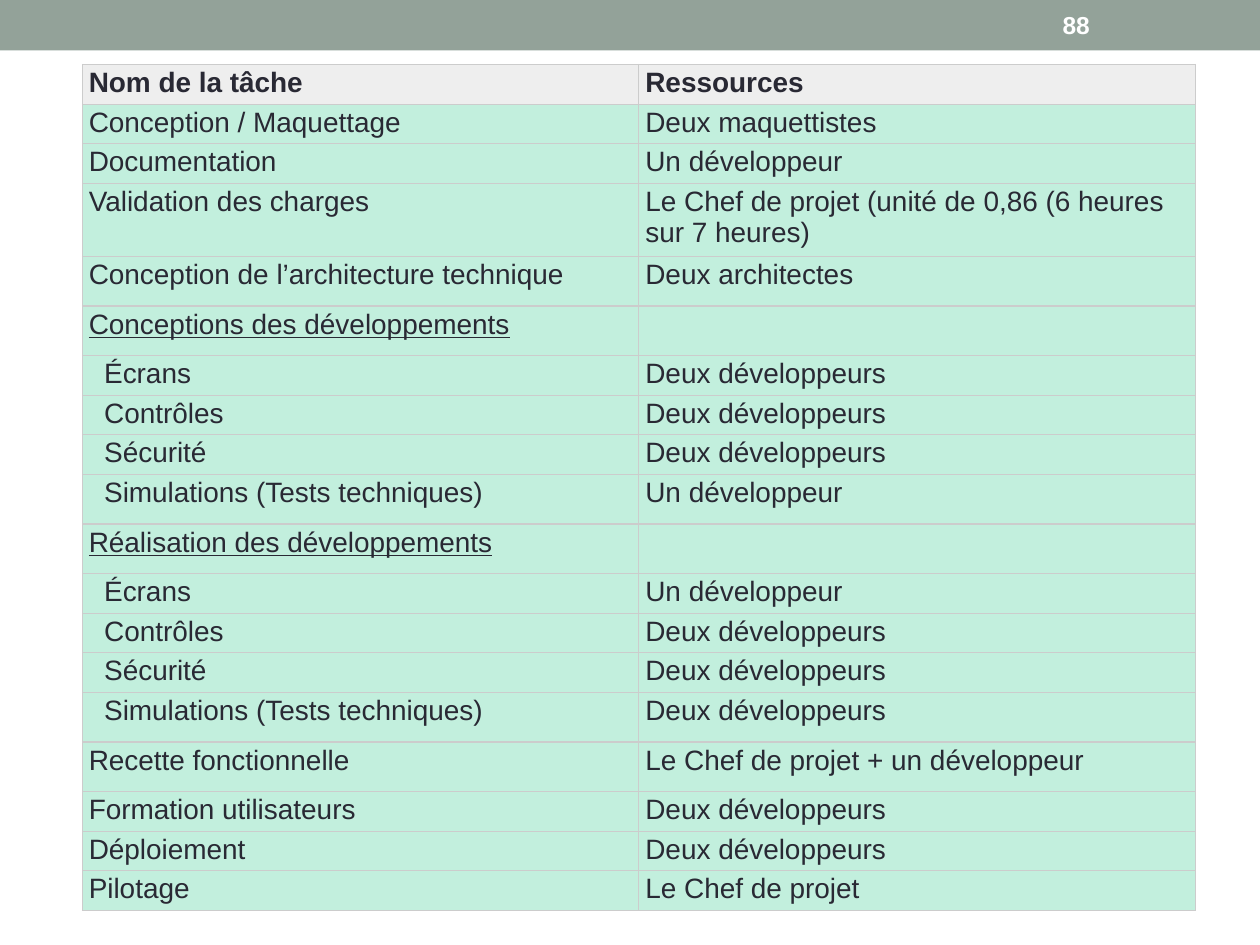
"""Build a slide with a table of project tasks and their resources."""
import dataclasses

import lxml.etree
import pptx
import pptx.dml.color
import pptx.enum.shapes
import pptx.enum.text
import pptx.oxml.ns
import pptx.slide
import pptx.table
import pptx.text.text
import pptx.util
from pptx.util import Cm

COLORS = {
    "band": "93A299",
    "number": "FFFFFF",
    "text": "292934",
    "header": "EEEEEE",
    "body": "C2EFDD",
    "border": "CCCCCC",
}
SINGLE, SPACED, DOUBLE = Cm(0.76), Cm(1), Cm(1.41)
COLUMN_WIDTH = Cm(11.22)
SUBTASK_INDENT = Cm(0.31)


@dataclasses.dataclass(frozen=True)
class Task:
    name: str
    resources: str
    height: pptx.util.Length = SINGLE
    header: bool = False
    group: bool = False
    subtask: bool = False


def subtasks(screen_resources: str, simulation_resources: str) -> list[Task]:
    return [
        Task("Écrans", screen_resources, subtask=True),
        Task("Contrôles", "Deux développeurs", subtask=True),
        Task("Sécurité", "Deux développeurs", subtask=True),
        Task("Simulations (Tests techniques)", simulation_resources, SPACED, subtask=True),
    ]


TASKS = [
    Task("Nom de la tâche", "Ressources", header=True),
    Task("Conception / Maquettage", "Deux maquettistes"),
    Task("Documentation", "Un développeur"),
    Task("Validation des charges", "Le Chef de projet (unité de 0,86 (6 heures sur 7 heures)", DOUBLE),
    Task("Conception de l’architecture technique", "Deux architectes", SPACED),
    Task("Conceptions des développements", "", SPACED, group=True),
    *subtasks("Deux développeurs", "Un développeur"),
    Task("Réalisation des développements", "", SPACED, group=True),
    *subtasks("Un développeur", "Deux développeurs"),
    Task("Recette fonctionnelle", "Le Chef de projet + un développeur", SPACED),
    Task("Formation utilisateurs", "Deux développeurs"),
    Task("Déploiement", "Deux développeurs"),
    Task("Pilotage", "Le Chef de projet"),
]


def rgb(name: str) -> pptx.dml.color.RGBColor:
    return pptx.dml.color.RGBColor.from_string(COLORS[name])


def style_font(font: pptx.text.text.Font, size: int, color: str, bold: bool) -> None:
    font.name = "Arial"
    font.size = pptx.util.Pt(size)
    font.bold = bold
    font.color.rgb = rgb(color)


def add_borders(cell: pptx.table._Cell) -> None:
    qn = pptx.oxml.ns.qn
    properties = cell._tc.get_or_add_tcPr()
    for side in ("lnL", "lnR", "lnT", "lnB"):
        line = lxml.etree.SubElement(properties, qn(f"a:{side}"), w=str(pptx.util.Pt(0.75)))
        fill = lxml.etree.SubElement(line, qn("a:solidFill"))
        lxml.etree.SubElement(fill, qn("a:srgbClr"), val=COLORS["border"])


def fill_cell(cell: pptx.table._Cell, text: str, task: Task) -> None:
    add_borders(cell)
    cell.fill.solid()
    cell.fill.fore_color.rgb = rgb("header" if task.header else "body")
    cell.margin_left = cell.margin_right = Cm(0.13)
    cell.margin_top = cell.margin_bottom = Cm(0.06)
    cell.text_frame.text = text
    paragraph = cell.text_frame.paragraphs[0]
    style_font(paragraph.font, 16, "text", task.header)
    for run in paragraph.runs:
        style_font(run.font, 16, "text", task.header)


def add_task_table(slide: pptx.slide.Slide, tasks: list[Task]) -> None:
    height = sum(task.height for task in tasks)
    table = slide.shapes.add_table(
        len(tasks), 2, Cm(1.66), Cm(1.3), 2 * COLUMN_WIDTH, height
    ).table
    table.horz_banding = False
    for column in table.columns:
        column.width = COLUMN_WIDTH
    for row, task in zip(table.rows, tasks):
        row.height = task.height
        name_cell, resources_cell = row.cells
        fill_cell(name_cell, task.name, task)
        fill_cell(resources_cell, task.resources, task)
        paragraph = name_cell.text_frame.paragraphs[0]
        if task.group:
            paragraph.runs[0].font.underline = True
        if task.subtask:
            paragraph._p.get_or_add_pPr().set("marL", str(SUBTASK_INDENT))


def add_band(slide: pptx.slide.Slide, width: pptx.util.Length) -> None:
    band = slide.shapes.add_shape(
        pptx.enum.shapes.MSO_SHAPE.RECTANGLE, 0, 0, width, Cm(1.02)
    )
    band.shadow.inherit = False
    band.fill.solid()
    band.fill.fore_color.rgb = rgb("band")
    band.line.fill.background()


def add_page_number(slide: pptx.slide.Slide, number: str) -> None:
    box = slide.shapes.add_textbox(Cm(21.17), Cm(0.05), Cm(2.96), Cm(0.91))
    text_frame = box.text_frame
    text_frame.word_wrap = True
    text_frame.vertical_anchor = pptx.enum.text.MSO_ANCHOR.MIDDLE
    text_frame.text = number
    style_font(text_frame.paragraphs[0].runs[0].font, 14, "number", True)


def main() -> None:
    presentation = pptx.Presentation()
    presentation.slide_width = Cm(25.4)
    presentation.slide_height = Cm(19.05)
    slide = presentation.slides.add_slide(presentation.slide_layouts[6])
    add_band(slide, presentation.slide_width)
    add_page_number(slide, "88")
    add_task_table(slide, TASKS)
    presentation.save("out.pptx")


if __name__ == "__main__":
    main()
